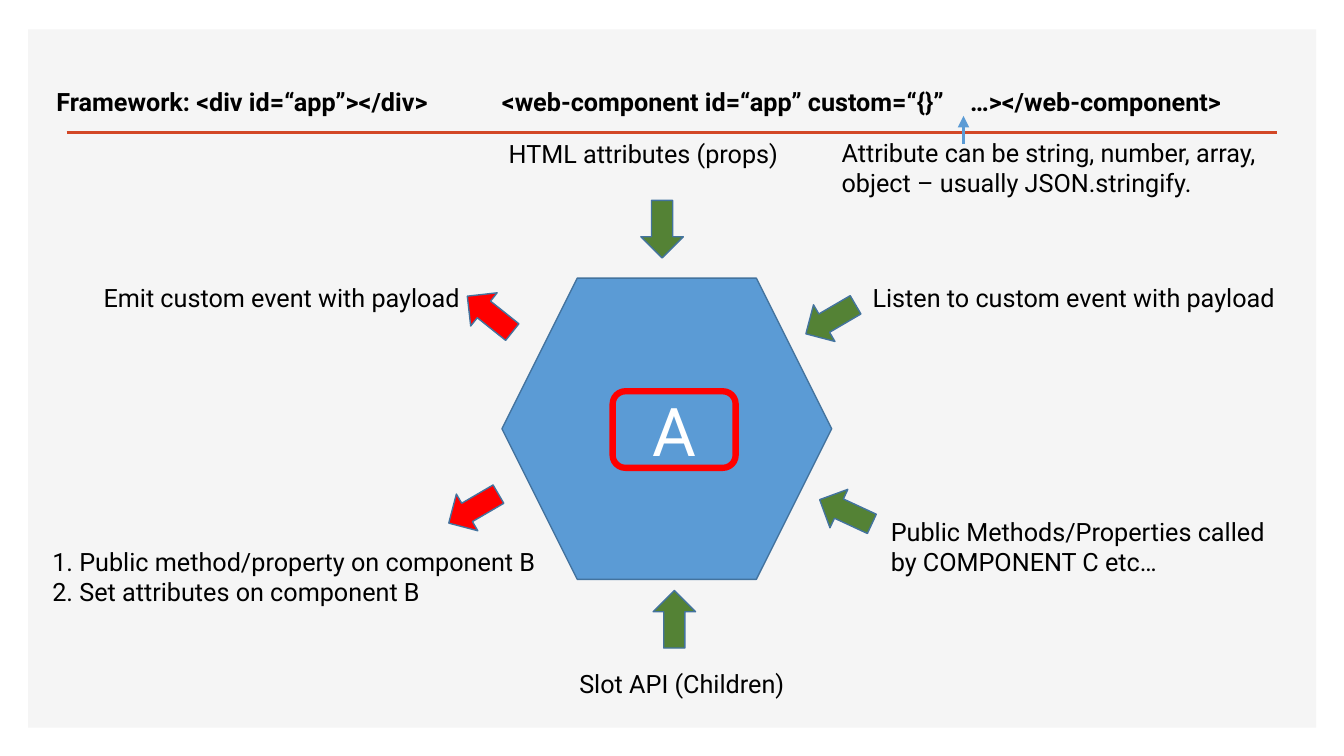
from lxml import etree
from pptx import Presentation
from pptx.dml.color import RGBColor
from pptx.enum.shapes import MSO_CONNECTOR, MSO_SHAPE
from pptx.enum.text import MSO_ANCHOR, PP_ALIGN
from pptx.oxml.ns import qn
from pptx.util import Cm, Pt

RECT, HEXAGON = MSO_SHAPE.RECTANGLE, MSO_SHAPE.HEXAGON
ARROW, ROUNDED = MSO_SHAPE.UP_ARROW, MSO_SHAPE.ROUNDED_RECTANGLE
STRAIGHT = MSO_CONNECTOR.STRAIGHT
MIDDLE, CENTER = MSO_ANCHOR.MIDDLE, PP_ALIGN.CENTER

PANEL = RGBColor(0xF5, 0xF5, 0xF5)
ORANGE = RGBColor(0xD2, 0x47, 0x26)
BLUE = RGBColor(0x5B, 0x9B, 0xD5)
EDGE = RGBColor(0x43, 0x73, 0x9E)
GREEN = RGBColor(0x54, 0x82, 0x35)
RED = RGBColor(0xFF, 0x00, 0x00)
BLACK = RGBColor(0x00, 0x00, 0x00)
WHITE = RGBColor(0xFF, 0xFF, 0xFF)

BODY = {"name": "Roboto", "size": Pt(18), "bold": False}
HEADING = {**BODY, "bold": True}
BADGE = {**BODY, "size": Pt(48)}

ARROW_W, ARROW_H = 1.07, 1.45
LINE_H, PADDING = 0.78, 0.25

arrows = [
    (16.15, 5.05, 180, GREEN),
    (11.81, 7.19, 308.6, RED),
    (16.46, 14.88, 0, GREEN),
    (20.4, 7.32, 239.7, GREEN),
    (20.78, 12.17, 294.9, GREEN),
    (11.4, 12.09, 239.7, RED),
]

labels = [
    (1.17, 2.06, 12.07, HEADING, ["Framework: <div id=“app”></div>"]),
    (12.4, 2.06, 11.9, HEADING, ["<web-component id=“app” custom=“{}”"]),
    (24.2, 2.06, 9, HEADING, ["…></web-component>"]),
    (12.57, 3.35, 7.85, BODY, ["HTML attributes (props)"]),
    (20.96, 3.33, 12.24, BODY,
     ["Attribute can be string, number, array, object – usually JSON.stringify."]),
    (2.36, 6.99, 9.5, BODY, ["Emit custom event with payload"]),
    (21.74, 6.99, 11.18, BODY, ["Listen to custom event with payload"]),
    (1.07, 13.64, 12.98, BODY,
     ["1. Public method/property on component B", "2. Set attributes on component B"]),
    (22.2, 12.88, 10.34, BODY,
     ["Public Methods/Properties called by COMPONENT C etc…"]),
    (14.35, 16.71, 5.89, BODY, ["Slot API (Children)"]),
]

prs = Presentation()
prs.slide_width, prs.slide_height = Cm(33.87), Cm(19.05)
s = prs.slides.add_slide(prs.slide_layouts[6])


def add_block(kind, x, y, w, h, fill, edge=None, weight=1):
    sp = s.shapes.add_shape(kind, Cm(x), Cm(y), Cm(w), Cm(h))
    sp.shadow.inherit = False
    sp.fill.solid()
    sp.fill.fore_color.rgb = fill
    if edge is None:
        sp.line.fill.background()
    else:
        sp.line.color.rgb = edge
        sp.line.width = Pt(weight)
    return sp


def add_line(x1, y1, x2, y2, color, weight, head=False):
    line = s.shapes.add_connector(STRAIGHT, Cm(x1), Cm(y1), Cm(x2), Cm(y2))
    line.line.color.rgb = color
    line.line.width = Pt(weight)
    if head:
        etree.SubElement(line.line._get_or_add_ln(), qn("a:tailEnd"), type="triangle")
    etree.SubElement(line._element.spPr, qn("a:effectLst"))


def write(p, text, style, color):
    r = p.add_run()
    r.text = text
    for key, value in style.items():
        setattr(r.font, key, value)
    r.font.color.rgb = color


add_block(RECT, 0.71, 0.74, 32.46, 17.6, PANEL)
add_line(1.68, 3.33, 32.18, 3.33, ORANGE, 2)
add_block(HEXAGON, 12.65, 7.01, 8.31, 7.59, BLUE, EDGE)

for x, y, angle, fill in arrows:
    add_block(ARROW, x, y, ARROW_W, ARROW_H, fill, EDGE).rotation = angle

badge = add_block(ROUNDED, 15.44, 9.86, 3.1, 1.93, BLUE, RED, 4.5)
badge.text_frame.vertical_anchor = MIDDLE
p = badge.text_frame.paragraphs[0]
p.alignment = CENTER
write(p, "A", BADGE, WHITE)

for x, y, w, style, lines in labels:
    height = LINE_H * len(lines) + PADDING
    tf = s.shapes.add_textbox(Cm(x), Cm(y), Cm(w), Cm(height)).text_frame
    tf.word_wrap = True
    for i, text in enumerate(lines):
        p = tf.add_paragraph() if i else tf.paragraphs[0]
        write(p, text, style, BLACK)

add_line(24.28, 3.63, 24.28, 2.92, BLUE, 2.75, head=True)

prs.save("out.pptx")
